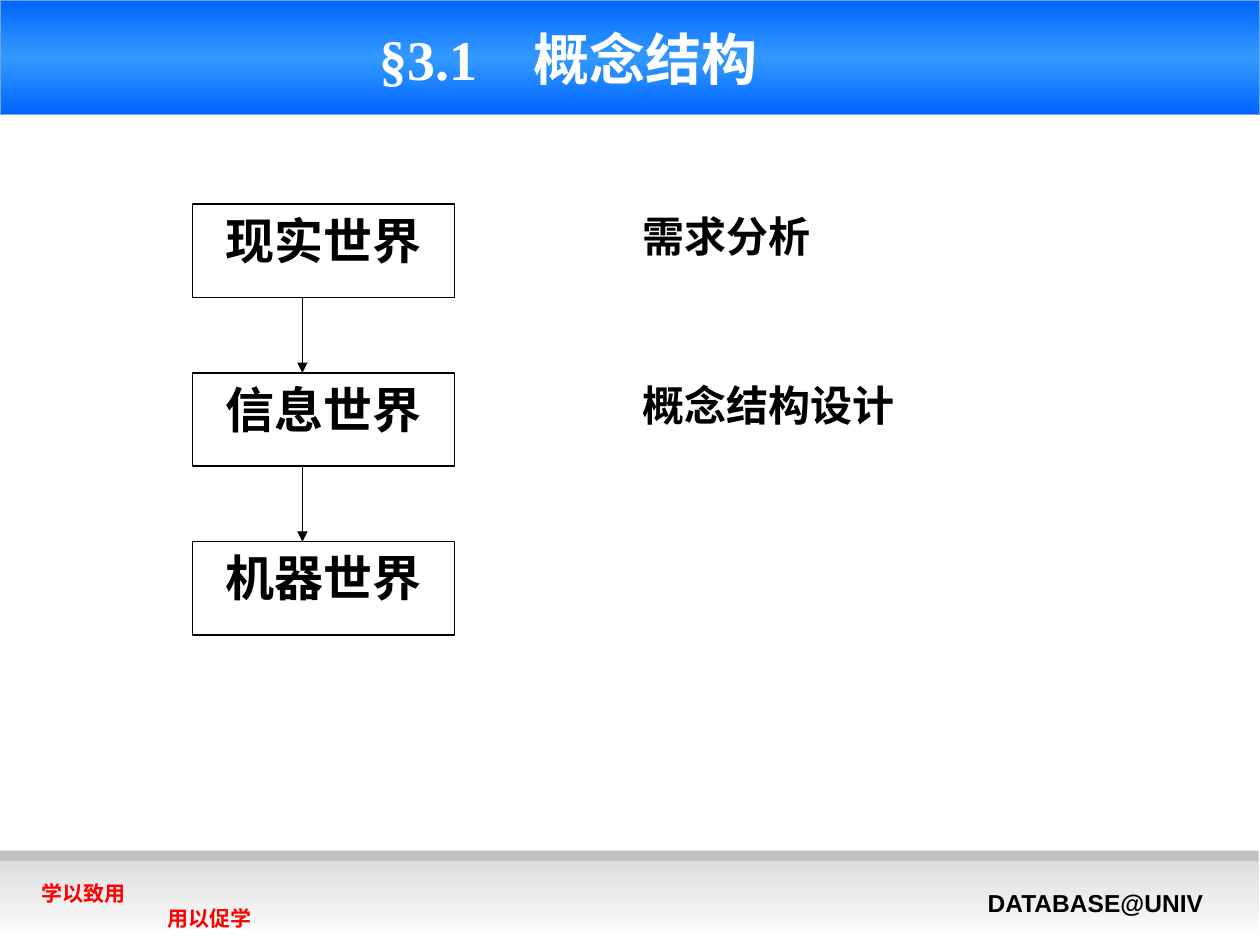
from lxml.etree import SubElement
from pptx import Presentation
from pptx.dml.color import RGBColor as RGB
from pptx.enum.shapes import MSO_CONNECTOR as CONN, MSO_SHAPE as SHAPE
from pptx.enum.text import MSO_ANCHOR as ANCHOR, PP_ALIGN as ALIGN
from pptx.oxml.ns import qn
from pptx.util import Inches, Pt

COLORS = {
    "black": "000000", "white": "FFFFFF", "red": "FF0000",
    "blue": "0066FF", "sky": "3399FF", "edge": "7DA0D3",
    "silver": "C0C0C0", "mist": "DDDDDD",
}
CJK = "Noto Sans CJK SC"
SERIF = "Times New Roman"


def rgb(name):
    return RGB.from_string(COLORS[name])


class Deck:
    """Holds the style and the current slide."""

    def __init__(self, width, height):
        self.prs = Presentation()
        self.prs.slide_width, self.prs.slide_height = Inches(width), Inches(height)
        self.s = self.prs.slides.add_slide(self.prs.slide_layouts[6])

    def rect(self, x, y, w, h, fill=(), line=None):
        """Rectangle: no colour is hollow, one is solid, more run downwards."""
        sp = self.s.shapes.add_shape(SHAPE.RECTANGLE, *map(Inches, (x, y, w, h)))
        sp.shadow.inherit = False
        if len(fill) > 1:
            sp.fill.gradient()
            sp.fill.gradient_angle = 270
            stops = sp._element.spPr.find(qn("a:gradFill")).find(qn("a:gsLst"))
            stops.clear()
            for i, name in enumerate(fill):
                gs = SubElement(stops, qn("a:gs"), pos=str(100000 * i // (len(fill) - 1)))
                SubElement(gs, qn("a:srgbClr"), val=COLORS[name])
        elif fill:
            sp.fill.solid()
            sp.fill.fore_color.rgb = rgb(fill[0])
        else:
            sp.fill.background()
        if line:
            sp.line.color.rgb = rgb(line)
            sp.line.width = Pt(0.75)
        else:
            sp.line.fill.background()
        return sp

    def label(self, sp, lines, size, color="black", font=SERIF,
              align=ALIGN.LEFT, anchor=ANCHOR.TOP, indents=()):
        """Fill a shape with one paragraph per line."""
        tf = sp.text_frame
        tf.word_wrap = True
        tf.vertical_anchor = anchor
        for i, line in enumerate(lines):
            p = tf.paragraphs[0] if i == 0 else tf.add_paragraph()
            p.alignment = align
            if indents:
                p._p.get_or_add_pPr().set("marL", str(Inches(indents[i])))
            r = p.add_run()
            r.text = line
            style = {"size": Pt(size), "bold": True, "name": font}
            for key, value in style.items():
                setattr(r.font, key, value)
            r.font.color.rgb = rgb(color)
            SubElement(r._r.get_or_add_rPr(), qn("a:ea"), typeface=CJK)

    def text(self, x, y, w, h, lines, size, **style):
        sp = self.s.shapes.add_textbox(*map(Inches, (x, y, w, h)))
        self.label(sp, lines, size, **style)

    def arrow(self, x1, y1, x2, y2):
        cx = self.s.shapes.add_connector(CONN.STRAIGHT, *map(Inches, (x1, y1, x2, y2)))
        cx.line.color.rgb = rgb("black")
        cx.line.width = Pt(0.75)
        SubElement(cx._element.spPr.find(qn("a:ln")), qn("a:tailEnd"), type="triangle")
        SubElement(cx._element.spPr, qn("a:effectLst"))


def main():
    deck = Deck(10, 7.5)

    # Title band
    deck.rect(0, 0, 10, 0.91, ("blue", "sky", "blue"), line="edge")
    deck.text(0, 0, 9.02, 0.92, ["§3.1　概念结构"], 32, color="white",
              align=ALIGN.CENTER, anchor=ANCHOR.MIDDLE)

    # Footer
    deck.rect(-0.01, 6.75, 10, 0.29, ("silver",))
    deck.rect(-0.01, 6.83, 10, 0.63, ("mist", "white"))
    deck.text(0.23, 6.94, 2, 0.5, ["学以致用", "用以促学"], 12,
              color="red", font="Arial", indents=(0, 1))
    deck.text(7.74, 7, 2.09, 0.34, ["DATABASE@UNIV"], 14, font="Arial")

    # Three worlds, each with its design stage, joined by arrows
    top, pitch, box_h = 1.62, 1.34, 0.74
    worlds = [("现实世界", "需求分析", 1.91),
              ("信息世界", "概念结构设计", 2.95),
              ("机器世界", None, 0)]
    for i, (world, stage, stage_w) in enumerate(worlds):
        y = top + i * pitch
        box = deck.rect(1.53, y, 2.08, box_h, line="black")
        deck.label(box, [world], 28, align=ALIGN.CENTER)
        if stage:
            deck.text(5, y, stage_w, 0.59, [stage], 24, align=ALIGN.JUSTIFY)
        if i < len(worlds) - 1:
            deck.arrow(2.4, y + box_h, 2.4, y + pitch)

    deck.prs.save("out.pptx")


if __name__ == "__main__":
    main()
